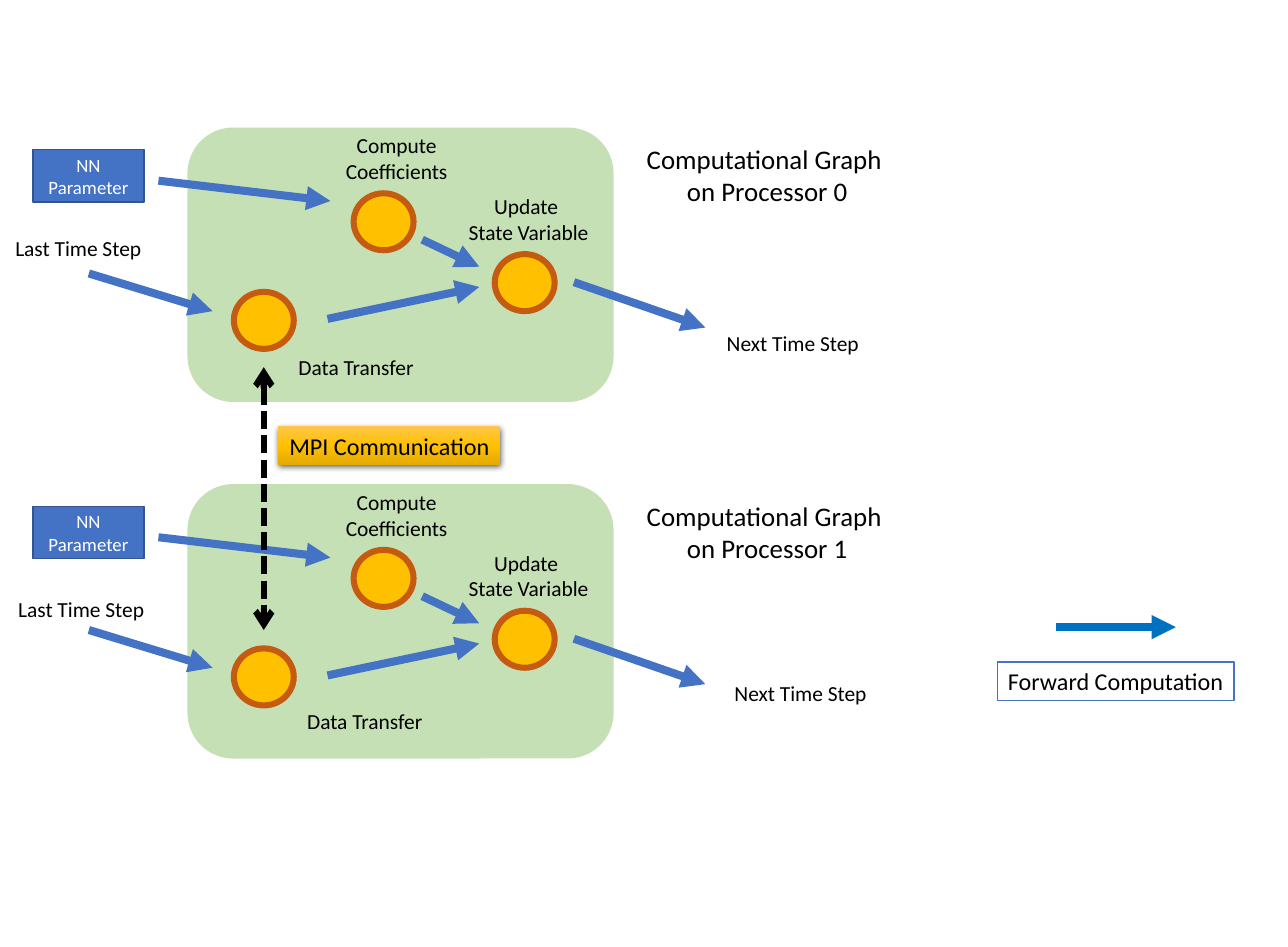
from dataclasses import dataclass

from lxml import etree
from copy import deepcopy
from pptx import Presentation
from pptx.dml.color import RGBColor
from pptx.enum.dml import MSO_LINE
from pptx.enum.shapes import MSO_CONNECTOR, MSO_SHAPE
from pptx.enum.text import MSO_ANCHOR, MSO_AUTO_SIZE, PP_ALIGN
from pptx.oxml.ns import qn
from pptx.util import Inches, Pt

RECTANGLE, ROUNDED, OVAL = MSO_SHAPE.RECTANGLE, MSO_SHAPE.ROUNDED_RECTANGLE, MSO_SHAPE.OVAL
STRAIGHT = MSO_CONNECTOR.STRAIGHT
SQUARE_DASH = MSO_LINE.SQUARE_DOT
CENTER, MIDDLE, TOP = PP_ALIGN.CENTER, MSO_ANCHOR.MIDDLE, MSO_ANCHOR.TOP
FIT_SHAPE = MSO_AUTO_SIZE.SHAPE_TO_FIT_TEXT


@dataclass(frozen=True)
class Theme:
    font: str = "Calibri"
    black: str = "000000"
    white: str = "FFFFFF"
    panel: str = "C5E0B4"
    node: str = "FFC000"
    node_line: str = "C55A11"
    blue: str = "4472C4"
    blue_dark: str = "325491"
    forward: str = "0070C0"
    gradient: tuple = ((0, "FFC64B"), (0.5, "FFC000"), (1, "E3AB00"))
    title: int = 20
    callout: int = 18
    label: int = 16
    parameter: int = 14
    thin: float = 1
    medium: float = 4.5
    thick: float = 6


THEME = Theme()

NODE_SIZE = (0.62, 0.59)
# Places are relative to the top left corner of each processor's region.
NODES = ((3.66, 0.68), (5.12, 1.31), (2.42, 1.7))
ARROWS = (
    ((0.92, 1.51), (2.2, 1.9)),
    ((5.94, 1.6), (7.3, 2.07)),
    ((1.64, 0.55), (3.42, 0.76)),
    ((4.37, 1.16), (4.96, 1.44)),
    ((3.39, 1.98), (4.96, 1.65)),
)
PROCESSORS = (
    {"top": 1.32, "transfer": (2.98, 2.29), "next": (7.41, 2.05), "last": (0.05, 1.06)},
    {"top": 5.01, "transfer": (3.07, 2.27), "next": (7.49, 1.98), "last": (0.08, 1.11)},
)


def color(value):
    return RGBColor.from_string(value)


def write_text(shape, text, size, ink=THEME.black):
    frame = shape.text_frame
    frame.text = text
    for paragraph in frame.paragraphs:
        paragraph.alignment = CENTER
        for run in paragraph.runs:
            run.font.name = THEME.font
            run.font.size = Pt(size)
            run.font.color.rgb = color(ink)


def fit_to_text(shape):
    frame = shape.text_frame
    frame.word_wrap = False
    frame.auto_size = FIT_SHAPE
    frame.vertical_anchor = TOP


def add_label(slide, box, text, size=THEME.label):
    label = slide.shapes.add_textbox(*map(Inches, box))
    write_text(label, text, size)
    fit_to_text(label)


def add_block(slide, kind, box, fill, line=None, width=THEME.thin):
    block = slide.shapes.add_shape(kind, *map(Inches, box))
    block.shadow.inherit = False
    block.fill.solid()
    block.fill.fore_color.rgb = color(fill)
    if line:
        block.line.color.rgb = color(line)
        block.line.width = Pt(width)
    else:
        block.line.fill.background()
    return block


def add_arrow(slide, start, end, ink=THEME.blue, width=THEME.thick, ends=(("tailEnd", "triangle"),)):
    arrow = slide.shapes.add_connector(STRAIGHT, *map(Inches, (*start, *end)))
    arrow.line.color.rgb = color(ink)
    arrow.line.width = Pt(width)
    line = arrow.line._get_or_add_ln()
    for end_name, head in ends:
        etree.SubElement(line, qn(f"a:{end_name}"), type=head)
    etree.SubElement(arrow._element.spPr, qn("a:effectLst"))
    return arrow


def add_processor(slide, left, top, number, places):
    def at(x, y, *size):
        return (left + x, top + y, *size)

    add_block(slide, ROUNDED, at(1.94, 0, 4.41, 2.84), THEME.panel)
    for node in NODES:
        add_block(slide, OVAL, at(*node, *NODE_SIZE), THEME.node, THEME.node_line, THEME.medium)
    add_label(slide, at(4.74, 0.63, 1.46, 0.64), "Update \nState Variable")
    add_label(slide, at(3.47, 0, 1.27, 0.64), "Compute\nCoefficients")
    for start, end in ARROWS:
        add_arrow(slide, at(*start), at(*end))
    parameter = add_block(slide, RECTANGLE, at(0.34, 0.23, 1.15, 0.54), THEME.blue, THEME.blue_dark)
    write_text(parameter, "NN\nParameter", THEME.parameter, THEME.white)
    parameter.text_frame.vertical_anchor = MIDDLE
    add_label(slide, at(6.58, 0.11, 2.72, 0.77),
              f"Computational Graph \non Processor {number}", THEME.title)
    add_label(slide, at(*places["transfer"], 1.41, 0.37), "Data Transfer")
    add_label(slide, at(*places["next"], 1.59, 0.37), "Next Time Step")
    add_label(slide, at(*places["last"], 1.52, 0.37), "Last Time Step")


def fill_gradient(shape, stops):
    """Fill from top to bottom with any number of colour stops."""
    shape.fill.gradient()
    shape.fill.gradient_angle = 270
    stop_list = shape._element.spPr.find(qn("a:gradFill")).find(qn("a:gsLst"))
    while len(stop_list) < len(stops):
        stop_list.append(deepcopy(stop_list[0]))
    for stop, (position, value) in zip(shape.fill.gradient_stops, stops):
        stop.position = position
        stop.color.rgb = color(value)


def add_drop_shadow(shape):
    effects = shape._element.spPr.find(qn("a:effectLst"))
    shadow = etree.SubElement(effects, qn("a:outerShdw"), blurRad=str(Pt(4.5)),
                              dist=str(Pt(1.5)), dir="5400000", algn="ctr", rotWithShape="0")
    ink = etree.SubElement(shadow, qn("a:srgbClr"), val=THEME.black)
    etree.SubElement(ink, qn("a:alpha"), val="63000")


def add_communication(slide, left, top):
    arrow = add_arrow(slide, (left, top), (left, top + 2.72), THEME.black, THEME.medium,
                      (("headEnd", "arrow"), ("tailEnd", "arrow")))
    arrow.line.dash_style = SQUARE_DASH
    callout = add_block(slide, RECTANGLE, (left + 0.15, top + 0.61, 2.3, 0.4), THEME.node)
    fill_gradient(callout, THEME.gradient)
    add_drop_shadow(callout)
    write_text(callout, "MPI Communication", THEME.callout)
    fit_to_text(callout)


def add_legend(slide, left, top):
    add_arrow(slide, (left + 0.61, top), (left + 1.85, top), THEME.forward)
    caption = add_block(slide, RECTANGLE, (left, top + 0.36, 2.45, 0.4), THEME.white, THEME.blue)
    write_text(caption, "Forward Computation", THEME.callout)
    fit_to_text(caption)


def main():
    presentation = Presentation()
    presentation.slide_width = Inches(13.33)
    presentation.slide_height = Inches(9.8)
    slide = presentation.slides.add_slide(presentation.slide_layouts[6])
    for number, places in enumerate(PROCESSORS):
        add_processor(slide, 0, places["top"], number, places)
    add_communication(slide, 2.73, 3.8)
    add_legend(slide, 10.32, 6.49)
    presentation.save("out.pptx")


if __name__ == "__main__":
    main()
